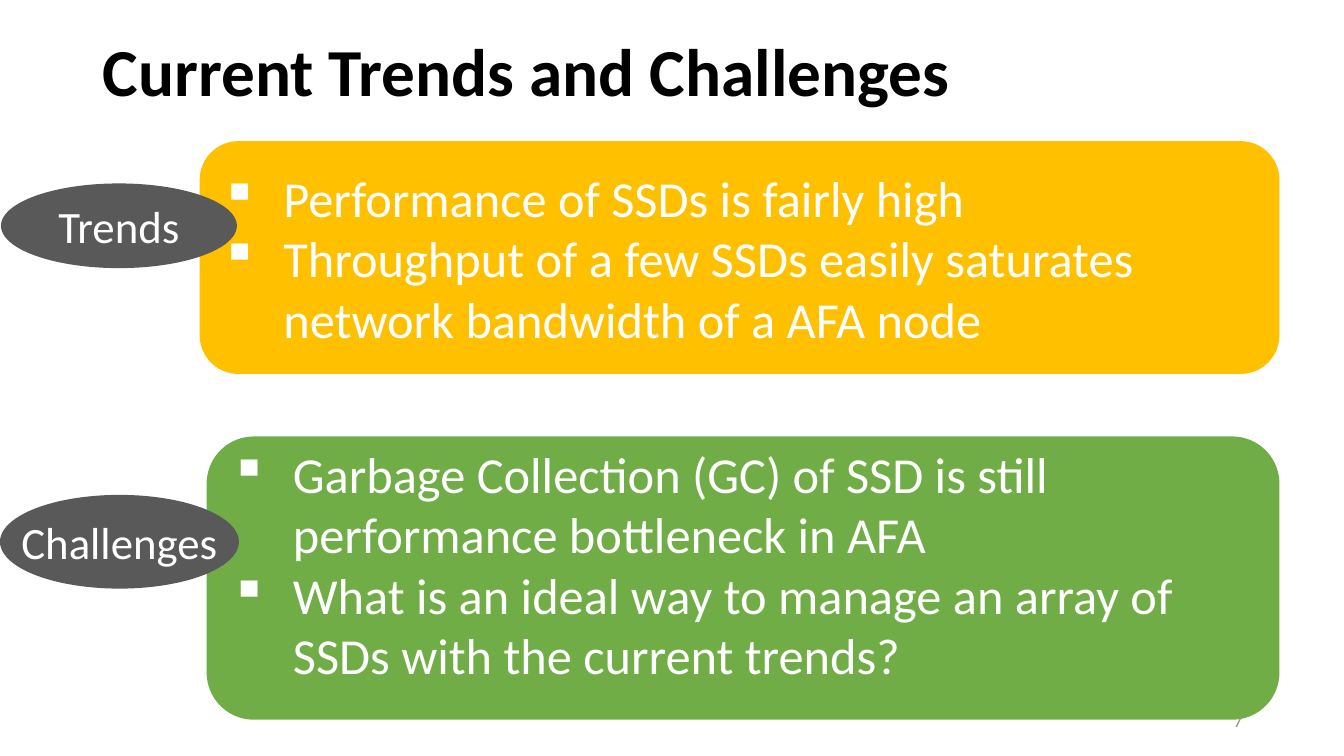
from lxml import etree
from pptx import Presentation
from pptx.dml.color import RGBColor
from pptx.enum import shapes, text
from pptx.oxml import ns
from pptx.util import Inches, Pt

FONT = "Calibri"
WHITE, BLACK, GREY, DARK = "FFFFFF", "000000", "8C8C8C", "595959"
INDENT = Inches(0.62)

SECTIONS = [
    ("Trends", (0.01, 1.82, 2.34, 0.84), (1.98, 1.4, 10.71, 2.31), "FFC000", 0.05,
     ["Performance of SSDs is fairly high",
      "Throughput of a few SSDs easily saturates network bandwidth of a AFA node"]),
    ("Challenges", (0, 4.91, 2.37, 0.93), (2.05, 4.33, 10.64, 2.81), "70AD47", 0.33,
     ["Garbage Collection (GC) of SSD is still performance bottleneck in AFA",
      "What is an ideal way to manage an array of SSDs with the current trends?"]),
]


def color(value):
    """Turn a hex string into a colour."""
    return RGBColor.from_string(value)


def write(shape, lines, size, ink, align, bold=False, wrap=True):
    """Fill a shape with vertically centred, formatted paragraphs."""
    frame = shape.text_frame
    frame.word_wrap = wrap
    frame.vertical_anchor = text.MSO_ANCHOR.MIDDLE
    frame.text = "\n".join(lines)
    for para in frame.paragraphs:
        para.alignment = align
        for span in para.runs:
            span.font.name = FONT
            span.font.size = Pt(size)
            span.font.bold = bold
            span.font.color.rgb = color(ink)
    return frame


def add_label(page, box, content, size, ink, align, bold=False):
    """Place one line of plain text in a box."""
    label = page.shapes.add_textbox(*map(Inches, box))
    return write(label, [content], size, ink, align, bold)


def add_filled(page, kind, box, fill):
    """Place a borderless preset shape."""
    shape = page.shapes.add_shape(kind, *map(Inches, box))
    shape.shadow.inherit = False
    shape.fill.solid()
    shape.fill.fore_color.rgb = color(fill)
    shape.line.fill.background()
    return shape


def add_bullet(para):
    """Give a paragraph a hanging square bullet."""
    props = para._p.get_or_add_pPr()
    props.set("marL", str(INDENT))
    props.set("indent", str(-INDENT))
    etree.SubElement(props, ns.qn("a:buChar"), char="▪")


def add_panel(page, box, fill, bottom, points):
    """Place a rounded panel with bulleted points."""
    panel = add_filled(page, shapes.MSO_SHAPE.FLOWCHART_ALTERNATE_PROCESS, box, fill)
    frame = write(panel, points, 36, WHITE, text.PP_ALIGN.LEFT)
    frame.margin_top = Inches(0.05)
    frame.margin_bottom = Inches(bottom)
    for para in frame.paragraphs:
        add_bullet(para)


def add_badge(page, box, name):
    """Place the oval that names a panel."""
    badge = add_filled(page, shapes.MSO_SHAPE.OVAL, box, DARK)
    write(badge, [name], 32, WHITE, text.PP_ALIGN.CENTER, wrap=False)


def main():
    """Build and save the slide."""
    deck = Presentation()
    deck.slide_width, deck.slide_height = Inches(13.33), Inches(7.5)
    page = deck.slides.add_slide(deck.slide_layouts[6])
    title = add_label(page, (0.92, 0.19, 11.5, 1.11), "Current Trends and Challenges",
                      48, BLACK, text.PP_ALIGN.LEFT, bold=True)
    title.paragraphs[0].line_spacing = 0.9
    add_label(page, (9.42, 6.95, 3, 0.4), "7", 12, GREY, text.PP_ALIGN.RIGHT)
    for name, badge_box, panel_box, fill, bottom, points in SECTIONS:
        add_panel(page, panel_box, fill, bottom, points)
        add_badge(page, badge_box, name)
    deck.save("out.pptx")


if __name__ == "__main__":
    main()
